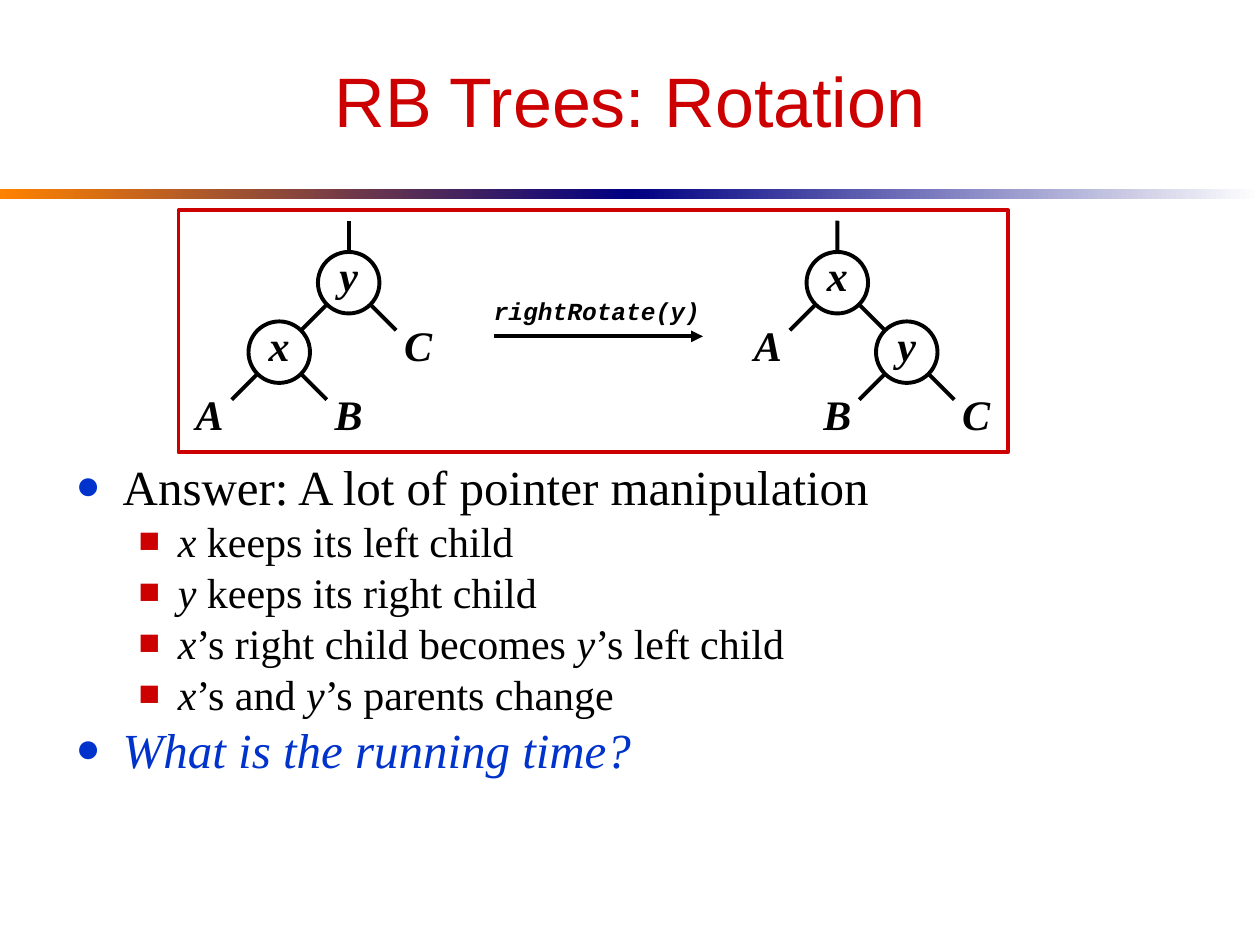
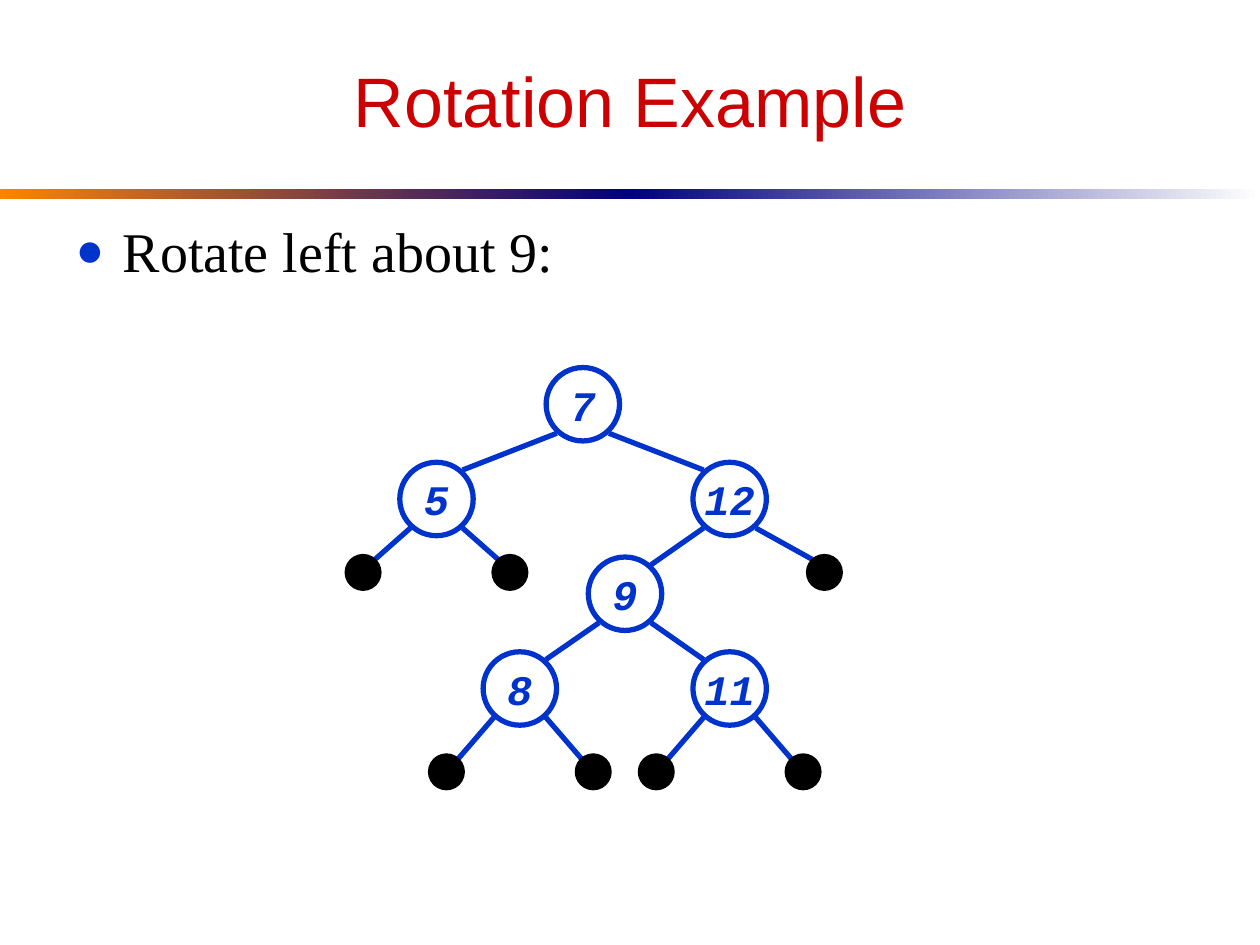
import pptx
import pptx.util
import pptx.dml.color
import pptx.enum.shapes
import pptx.enum.text
import pptx.oxml.ns
import lxml.etree

Cm, Pt = pptx.util.Cm, pptx.util.Pt
tint = pptx.dml.color.RGBColor.from_string
qn = pptx.oxml.ns.qn
Shape = pptx.enum.shapes.MSO_SHAPE
Align = pptx.enum.text.PP_ALIGN
Anchor = pptx.enum.text.MSO_ANCHOR
Fit = pptx.enum.text.MSO_AUTO_SIZE

# Shared colours and fonts
RED, BLUE, BLACK, WHITE = "CC0000", "0033CC", "000000", "FFFFFF"
ORANGE, NAVY = "FF8200", "000082"
SANS, SERIF, MONO = "Arial", "Times New Roman", "Courier New"


def wire(slide, x1, y1, x2, y2, color, width):
    """Draw a straight line; lengths in centimetres."""
    line = slide.shapes.add_connector(
        pptx.enum.shapes.MSO_CONNECTOR.STRAIGHT, Cm(x1), Cm(y1), Cm(x2), Cm(y2))
    line.line.color.rgb = tint(color)
    line.line.width = Pt(width)
    lxml.etree.SubElement(line._element.spPr, qn("a:effectLst"))
    return line


def tree(slide, nodes, color, width, font, space, dip):
    """Draw edges, then nodes given as (text, x, y, radius, parent, kind)."""
    for _, x, y, rad, up, _ in nodes:
        if up is None:
            continue
        _, px, py, prad, _, _ = nodes[up]
        side = 1 if x > px else -1
        wire(slide, px + side * 0.71 * prad, py + dip * prad,
             x - side * 0.71 * rad, y - dip * rad, color, width)
    discs = []
    for text, x, y, rad, _, kind in nodes:
        disc = slide.shapes.add_shape(
            Shape.OVAL, Cm(x - rad), Cm(y - rad), Cm(2 * rad), Cm(2 * rad))
        disc.shadow.inherit = False
        disc.fill.solid()
        disc.fill.fore_color.rgb = tint(BLACK if kind == "leaf" else WHITE)
        if kind == "bare":
            disc.line.fill.background()
        else:
            disc.line.color.rgb = tint(BLACK if kind == "leaf" else color)
            disc.line.width = Pt(width)
        if text:
            frame = disc.text_frame
            frame.word_wrap = False
            frame.vertical_anchor = Anchor.MIDDLE
            para = frame.paragraphs[0]
            para.alignment = Align.CENTER
            para.line_spacing = space
            run = para.add_run()
            run.text = text
            run.font.name, run.font.size = font, Pt(24)
            run.font.bold = run.font.italic = True
            run.font.color.rgb = tint(color)
        discs.append(disc)
    return discs


deck = pptx.Presentation()
deck.slide_width, deck.slide_height = Cm(25.4), Cm(19.05)

# Titles and lists: title, body top, body height, line spacing, rows;
# a row is level, size, space before, colour, runs of (text, italic)
pages = [
    ("RB Trees: Rotation", 9.3, 7, 0.8, [
        (0, 28, 0, BLACK, [("Answer: A lot of pointer manipulation", False)]),
        (1, 24, 6, BLACK, [("x", True), (" keeps its left child", False)]),
        (1, 24, 6, BLACK, [("y", True), (" keeps its right child", False)]),
        (1, 24, 6, BLACK, [("x", True), ("’s right child becomes ", False),
                           ("y", True), ("’s left child", False)]),
        (1, 24, 6, BLACK, [("x", True), ("’s and ", False),
                           ("y", True), ("’s parents change", False)]),
        (0, 28, 7, BLUE, [("What is the running time?", True)]),
    ]),
    ("Rotation Example", 4.24, 12.06, 1.0, [
        (0, 32, 0, BLACK, [("Rotate left about 9:", False)]),
    ]),
]
# Per level: left margin, hanging indent, bullet colour, bullet
marks = [(0.95, 0.95, BLUE, "●"), (2.06, 0.79, RED, "■")]

slides = []
for name, top, high, space, rows in pages:
    slide = deck.slides.add_slide(deck.slide_layouts[1])
    slides.append(slide)

    # Two-part gradient band
    for left, start, stop in [(0, ORANGE, NAVY), (12.7, NAVY, WHITE)]:
        band = slide.shapes.add_shape(
            Shape.RECTANGLE, Cm(left), Cm(3.81), Cm(12.7), Cm(0.2))
        band.shadow.inherit = False
        band.line.fill.background()
        band.fill.gradient()
        band.fill.gradient_angle = 0
        for point, color in zip(band.fill.gradient_stops, (start, stop)):
            point.color.rgb = tint(color)

    # Title
    title = slide.shapes.title
    title.left, title.top = Cm(1.27), Cm(0.64)
    title.width, title.height = Cm(22.86), Cm(2.74)
    frame = title.text_frame
    frame.auto_size = Fit.NONE
    frame.vertical_anchor = Anchor.MIDDLE
    para = frame.paragraphs[0]
    para.alignment = Align.CENTER
    run = para.add_run()
    run.text = name
    run.font.name, run.font.size = SANS, Pt(40)
    run.font.color.rgb = tint(RED)

    # Bulleted list
    body = slide.placeholders[1]
    body.left, body.top = Cm(1.27), Cm(top)
    body.width, body.height = Cm(22.86), Cm(high)
    frame = body.text_frame
    frame.auto_size = Fit.NONE
    for num, (level, size, gap, color, runs) in enumerate(rows):
        para = frame.add_paragraph() if num else frame.paragraphs[0]
        para.level = level
        margin, hang, hue, sign = marks[level]
        prop = para._p.get_or_add_pPr()
        prop.set("marL", str(Cm(margin)))
        prop.set("indent", str(-Cm(hang)))
        paint = lxml.etree.SubElement(prop, qn("a:buClr"))
        lxml.etree.SubElement(paint, qn("a:srgbClr"), val=hue)
        lxml.etree.SubElement(prop, qn("a:buSzPct"), val="85000")
        lxml.etree.SubElement(prop, qn("a:buChar"), char=sign)
        para.line_spacing = space
        para.space_before = Pt(gap)
        for text, slant in runs:
            run = para.add_run()
            run.text = text
            run.font.name, run.font.size = SERIF, Pt(size)
            run.font.italic = slant
            run.font.color.rgb = tint(color)

first, second = slides

# Slide 1: the tree before and after the rotation
step, rad, base = 1.4, 0.62, 5.7
plans = [
    (7.03, [("y", 0, 0, None), ("x", -1, 1, 0), ("C", 1, 1, 0),
            ("A", -2, 2, 1), ("B", 0, 2, 1)]),
    (16.88, [("x", 0, 0, None), ("A", -1, 1, 0), ("y", 1, 1, 0),
             ("B", 0, 2, 2), ("C", 2, 2, 2)]),
]
for mid, plan in plans:
    nodes = [(text, mid + col * step, base + row * step, rad, up,
              "ring" if text in "xy" else "bare")
             for text, col, row, up in plan]
    discs = tree(first, nodes, BLACK, 2.25, SERIF, 0.6, 0.71)
    stem = wire(first, mid, base - rad, mid, 4.45, BLACK, 2.25)
    stem.begin_connect(discs[0], 0)

# Slide 1: rotation arrow and its label
arrow = wire(first, 9.96, 6.78, 14.17, 6.78, BLACK, 2.25)
lxml.etree.SubElement(arrow.line._get_or_add_ln(), qn("a:tailEnd"), type="triangle")
label = first.shapes.add_textbox(Cm(9.7), Cm(5.84), Cm(4.67), Cm(0.86))
frame = label.text_frame
frame.word_wrap = False
frame.vertical_anchor = Anchor.MIDDLE
para = frame.paragraphs[0]
para.alignment = Align.CENTER
run = para.add_run()
run.text = "rightRotate(y)"
run.font.name, run.font.size = MONO, Pt(14)
run.font.bold = run.font.italic = True
run.font.color.rgb = tint(BLACK)

# Slide 1: red frame
box = first.shapes.add_shape(
    Shape.RECTANGLE, Cm(3.6), Cm(4.24), Cm(16.72), Cm(4.88))
box.shadow.inherit = False
box.fill.background()
box.line.color.rgb = tint(RED)
box.line.width = Pt(2.25)

# Slide 2: search tree with black leaves
rad, dot, step, base = 0.74, 0.32, 1.91, 8.15
plan = [("7", 11.75, 0, None), ("5", 8.8, 1, 0), ("12", 14.71, 1, 0),
        ("9", 12.6, 2, 2), ("8", 10.48, 3, 3), ("11", 14.71, 3, 3)]
nodes = [(text, x, base + row * step, rad, up, "ring")
         for text, x, row, up in plan]
upper, lower = 11.54, 15.56
for up, shifts, y in [(1, (-1.48, 1.48), upper), (2, (1.91,), upper),
                      (4, (-1.48, 1.48), lower), (5, (-1.48, 1.48), lower)]:
    for shift in shifts:
        nodes.append(("", plan[up][1] + shift, y, dot, up, "leaf"))
tree(second, nodes, BLUE, 3, MONO, 1.0, 0.79)

deck.save("out.pptx")
